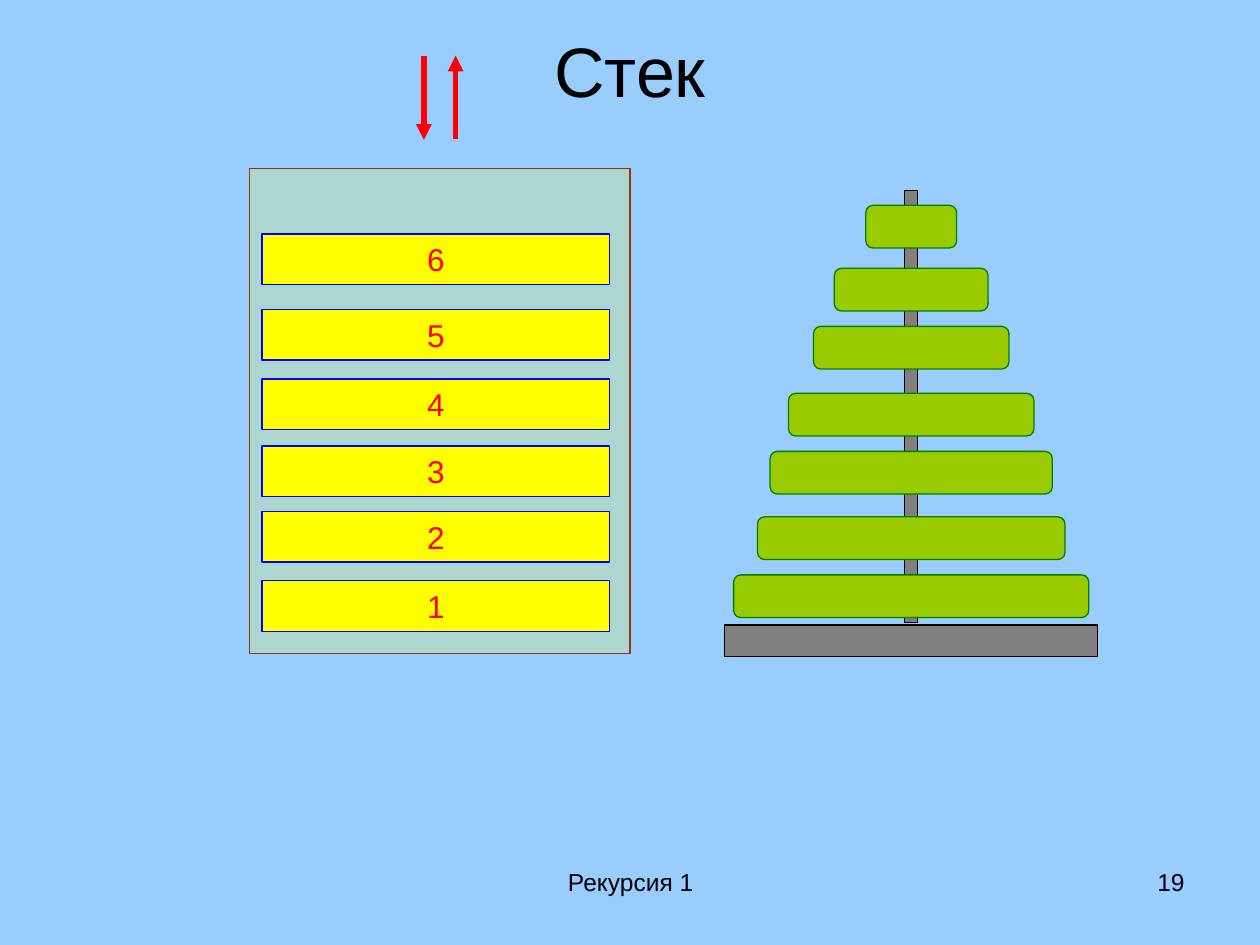
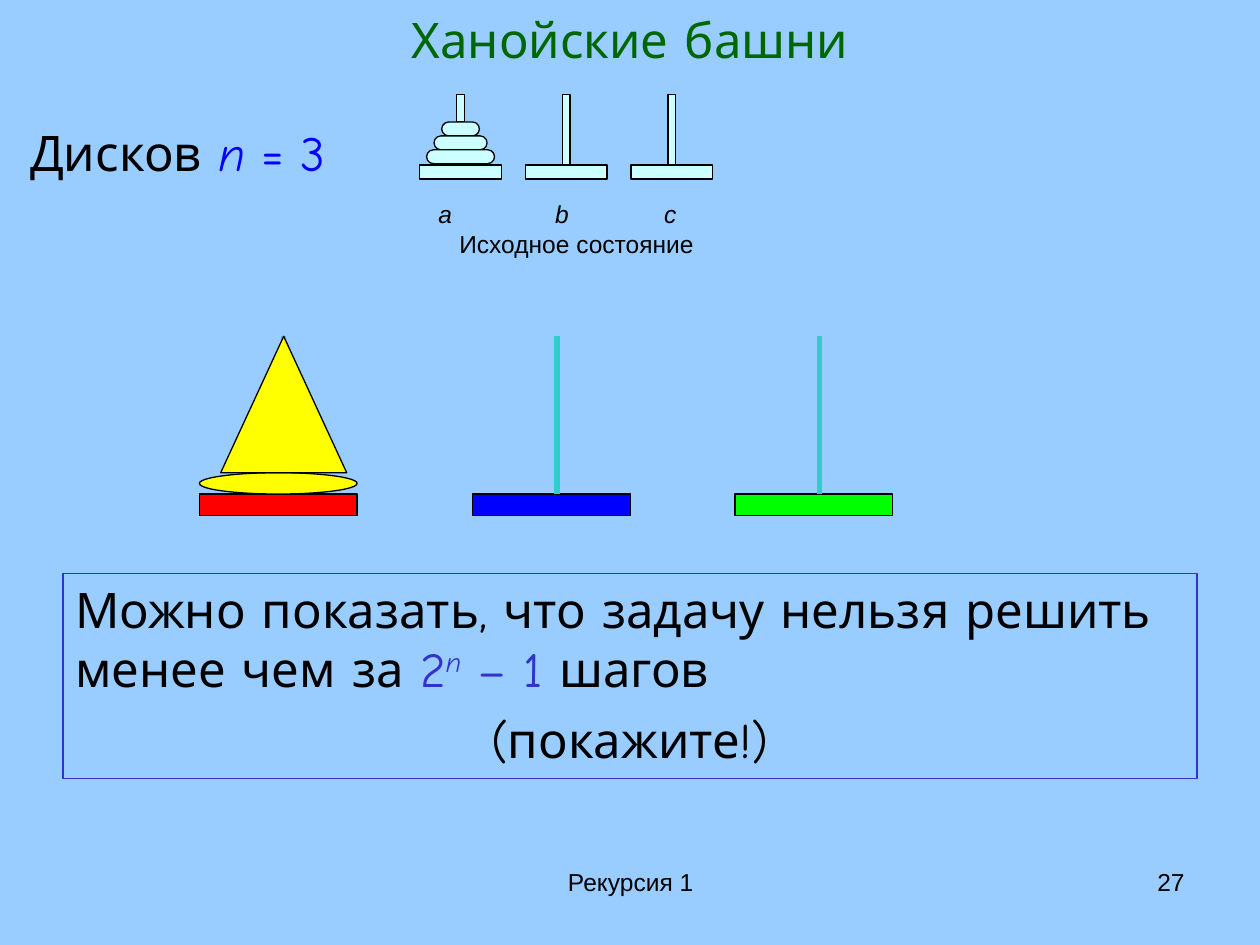
import pptx
import pptx.dml.color
import pptx.enum.shapes
import pptx.enum.text
import pptx.oxml.ns
import pptx.util
from lxml import etree

Cm, Pt = pptx.util.Cm, pptx.util.Pt
SHAPE = pptx.enum.shapes.MSO_SHAPE
ALIGN = pptx.enum.text.PP_ALIGN
ANCHOR = pptx.enum.text.MSO_ANCHOR
qn = pptx.oxml.ns.qn

COLORS = {
    "sky": "99CCFF", "black": "000000", "gray": "808080", "red": "FF0000",
    "yellow": "FFFF00", "blue": "0000FF", "lime": "00FF00", "teal": "33CCCC",
    "ice": "CCFFFF", "indigo": "3333CC", "title_green": "006600",
    "disk": "99CC00", "disk_edge": "008000",
    "stack": "FFFF1D", "stack_edge": "993300",
}
SANS, COMIC = "Arial", "Comic Neue"


def rgb(name):
    return pptx.dml.color.RGBColor.from_string(COLORS[name])


def style_run(r, size, color="black", font=SANS, italic=False):
    r.font.size = Pt(size)
    r.font.name = font
    r.font.italic = italic
    r.font.color.rgb = rgb(color)


def add_runs(p, parts, size, font):
    """Append (text, colour, italic) parts to p and return the runs."""
    runs = []
    for text, color, italic in parts:
        r = p.add_run()
        r.text = text
        style_run(r, size, color, font, italic)
        runs.append(r)
    return runs


def add_text(s, box, text, size, align=ALIGN.LEFT, anchor=ANCHOR.TOP,
             color="black", font=SANS):
    tf = s.shapes.add_textbox(*map(Cm, box)).text_frame
    tf.word_wrap = True
    tf.vertical_anchor = anchor
    tf.text = text
    for p in tf.paragraphs:
        p.alignment = align
        for r in p.runs:
            style_run(r, size, color, font)
    return tf


def add_shape(s, kind, box, fill, line="black"):
    sp = s.shapes.add_shape(kind, *map(Cm, box))
    sp.shadow.inherit = False
    if fill:
        sp.fill.solid()
        sp.fill.fore_color.rgb = rgb(fill)
    else:
        sp.fill.background()
    sp.line.color.rgb = rgb(line)
    sp.line.width = Pt(0.75)
    return sp


def add_line(s, x, y1, y2, color, arrow=False):
    """Draw a vertical line from y1 to y2, with an arrowhead at y2 if asked."""
    line = s.shapes.add_connector(
        pptx.enum.shapes.MSO_CONNECTOR.STRAIGHT, Cm(x), Cm(y1), Cm(x), Cm(y2))
    line.line.color.rgb = rgb(color)
    line.line.width = Pt(3)
    if arrow:
        etree.SubElement(line.line._get_or_add_ln(), qn("a:tailEnd"), type="triangle")
    etree.SubElement(line._element.spPr, qn("a:effectLst"))


def new_slide(prs, number, title, title_box, **title_style):
    s = prs.slides.add_slide(prs.slide_layouts[6])
    add_text(s, (8.69, 17.35, 8.05, 1.32), "Рекурсия 1", 14, ALIGN.CENTER)
    add_text(s, (18.21, 17.35, 5.92, 1.32), str(number), 14, ALIGN.RIGHT)
    add_text(s, title_box, title, align=ALIGN.CENTER, anchor=ANCHOR.MIDDLE, **title_style)
    return s


def draw_stack(s, left, top, width, height):
    box = add_shape(s, SHAPE.RECTANGLE, (left, top, width, height), "stack", "stack_edge")
    color = box._element.spPr.find(qn("a:solidFill"))[0]
    etree.SubElement(color, qn("a:alpha"), val="20000")

    plate_tops = (8.31, 6.91, 5.59, 4.24, 2.84, 1.32)
    for number, plate_top in enumerate(plate_tops, 1):
        plate = add_shape(s, SHAPE.RECTANGLE, (left + 0.25, top + plate_top, 7.01, 1.02),
                          "yellow", "blue")
        p = plate.text_frame.paragraphs[0]
        p.text = str(number)
        p.alignment = ALIGN.CENTER
        style_run(p.runs[0], 18, "red")

    middle = left + width / 2
    add_line(s, middle - 0.32, top - 2.28, top - 0.58, "red", arrow=True)
    add_line(s, middle + 0.32, top - 0.6, top - 2.28, "red", arrow=True)


def draw_pyramid(s, left, top, width, height):
    middle = left + width / 2
    add_shape(s, SHAPE.RECTANGLE, (left, top + height - 0.64, width, 0.64), "gray")
    add_shape(s, SHAPE.RECTANGLE, (middle - 0.13, top, 0.26, height - 0.69), "gray")
    disks = ((7.75, 7.16), (6.58, 6.2), (5.26, 5.69), (4.09, 4.95),
             (2.74, 3.94), (1.57, 3.1), (0.3, 1.83))
    for disk_top, disk_width in disks:
        add_shape(s, SHAPE.ROUNDED_RECTANGLE,
                  (middle - disk_width / 2, top + disk_top, disk_width, 0.86),
                  "disk", "disk_edge")


def draw_initial_state(s, left, top):
    """Three small pegs, three disks on the first, with their caption."""
    pitch, base_width, thick, base_top = 2.13, 1.65, 0.28, 1.43
    for i, peg_height in enumerate((0.56, base_top, base_top)):
        base_left = left + i * pitch
        add_shape(s, SHAPE.RECTANGLE, (base_left, top + base_top, base_width, thick), "ice")
        add_shape(s, SHAPE.RECTANGLE,
                  (base_left + base_width / 2 - 0.08, top, 0.16, peg_height), "ice")
    for i, disk_width in enumerate((0.76, 1.07, 1.37)):
        disk = add_shape(s, SHAPE.ROUNDED_RECTANGLE,
                         (left + (base_width - disk_width) / 2, top + 0.56 + i * thick,
                          disk_width, thick), "ice")
        disk.adjustments[0] = 0.5

    tf = add_text(s, (left + 0.13, top + 1.99, 7.49, 1.83),
                  "a\tb\tc\nИсходное состояние", 14)
    names, caption = tf.paragraphs
    for r in names.runs:
        r.font.italic = True
    tabs = etree.SubElement(names._p.get_or_add_pPr(), qn("a:tabLst"))
    for stop in (2.35, 4.55):
        etree.SubElement(tabs, qn("a:tab"), pos=str(Cm(stop)), algn="l")
    caption._p.get_or_add_pPr().set("marL", str(Cm(0.42)))


def draw_towers(s, left, top):
    """Three pegs on coloured bases, the first one carrying the pile."""
    base_width, thick, pole_x, pole_height = 3.18, 0.43, 1.7, 3.18
    for offset, color in ((0, "red"), (5.51, "blue"), (10.8, "lime")):
        add_shape(s, SHAPE.RECTANGLE,
                  (left + offset, top + pole_height, base_width, thick), color)
        add_line(s, left + offset + pole_x, top, top + pole_height, "teal")
    cone_height = pole_height - thick
    add_shape(s, SHAPE.OVAL, (left, top + cone_height, base_width, thick), "yellow")
    add_shape(s, SHAPE.ISOSCELES_TRIANGLE,
              (left + pole_x - 1.27, top, 2.54, cone_height), "yellow")


def draw_conclusion(s, box):
    tf = add_shape(s, SHAPE.RECTANGLE, box, None, "indigo").text_frame
    tf.word_wrap = True
    tf.vertical_anchor = ANCHOR.TOP
    claim, prompt = tf.paragraphs[0], tf.add_paragraph()
    runs = add_runs(claim, (
        ("Можно показать, что задачу нельзя решить менее чем за ", "black", False),
        ("2", "indigo", False),
        ("n", "indigo", True),
        (" – 1", "indigo", False),
        (" шагов", "black", False),
    ), 28, COMIC)
    runs[2]._r.get_or_add_rPr().set("baseline", "30000")
    add_runs(prompt, [("(покажите!)", "black", False)], 28, COMIC)
    claim.alignment, prompt.alignment = ALIGN.LEFT, ALIGN.CENTER
    for p in tf.paragraphs:
        p.space_before = Pt(7)


def draw_disk_count(s, box):
    tf = add_text(s, box, "", 28)
    add_runs(tf.paragraphs[0], (
        ("Дисков ", "black", False),
        ("n", "blue", True),
        (" = 3", "blue", False),
    ), 28, COMIC)


def stack_slide(prs):
    s = new_slide(prs, 19, "Стек", (1.27, 0.76, 22.86, 1.27), size=40)
    draw_stack(s, 5.03, 3.4, 7.67, 9.78)
    draw_pyramid(s, 14.61, 3.84, 7.52, 9.4)


def hanoi_slide(prs):
    s = new_slide(prs, 27, "Ханойские башни", (1.27, 0, 22.86, 1.57),
                  size=28, color="title_green", font=COMIC)
    draw_conclusion(s, (1.27, 11.56, 22.86, 4.14))
    draw_initial_state(s, 8.46, 1.9)
    draw_towers(s, 4.02, 6.78)
    draw_disk_count(s, (0.36, 2.34, 7.01, 1.45))


def main():
    prs = pptx.Presentation()
    prs.slide_width, prs.slide_height = Cm(25.4), Cm(19.05)
    background = prs.slide_master.background.fill
    background.solid()
    background.fore_color.rgb = rgb("sky")
    stack_slide(prs)
    hanoi_slide(prs)
    prs.save("out.pptx")


if __name__ == "__main__":
    main()
